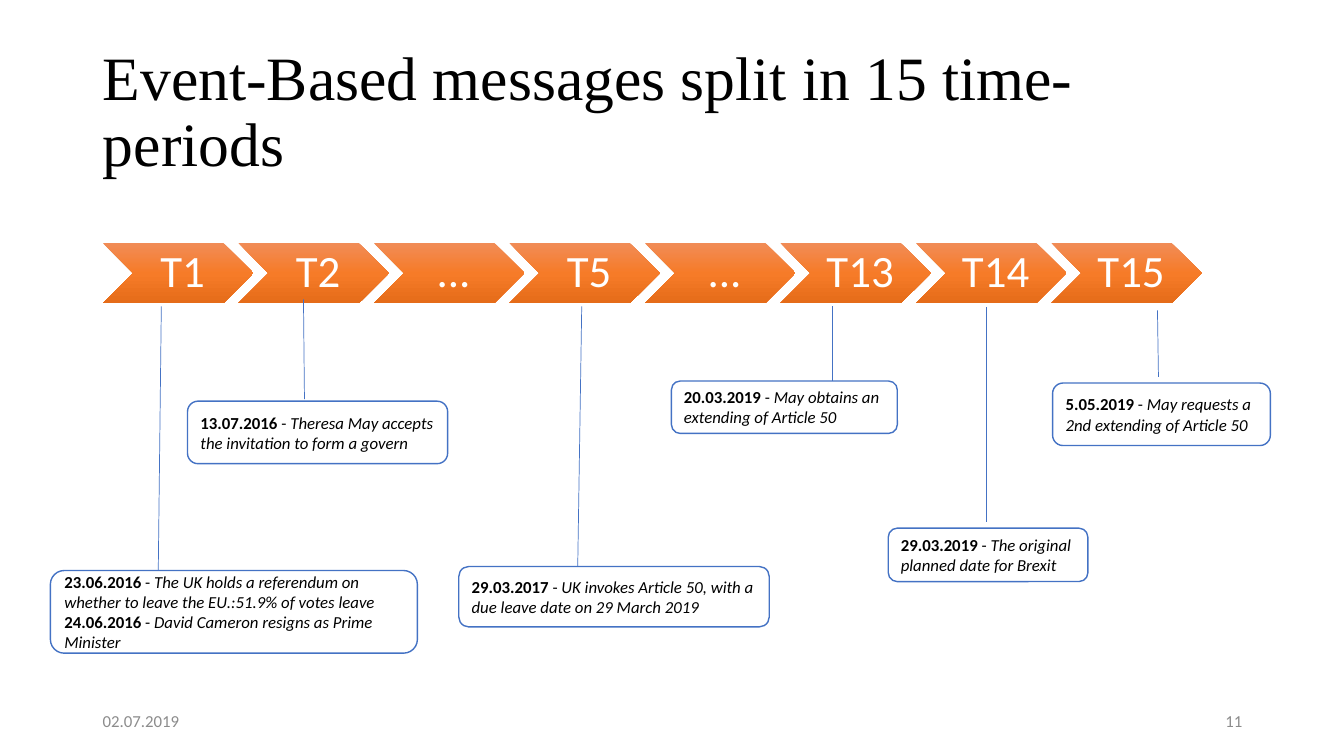
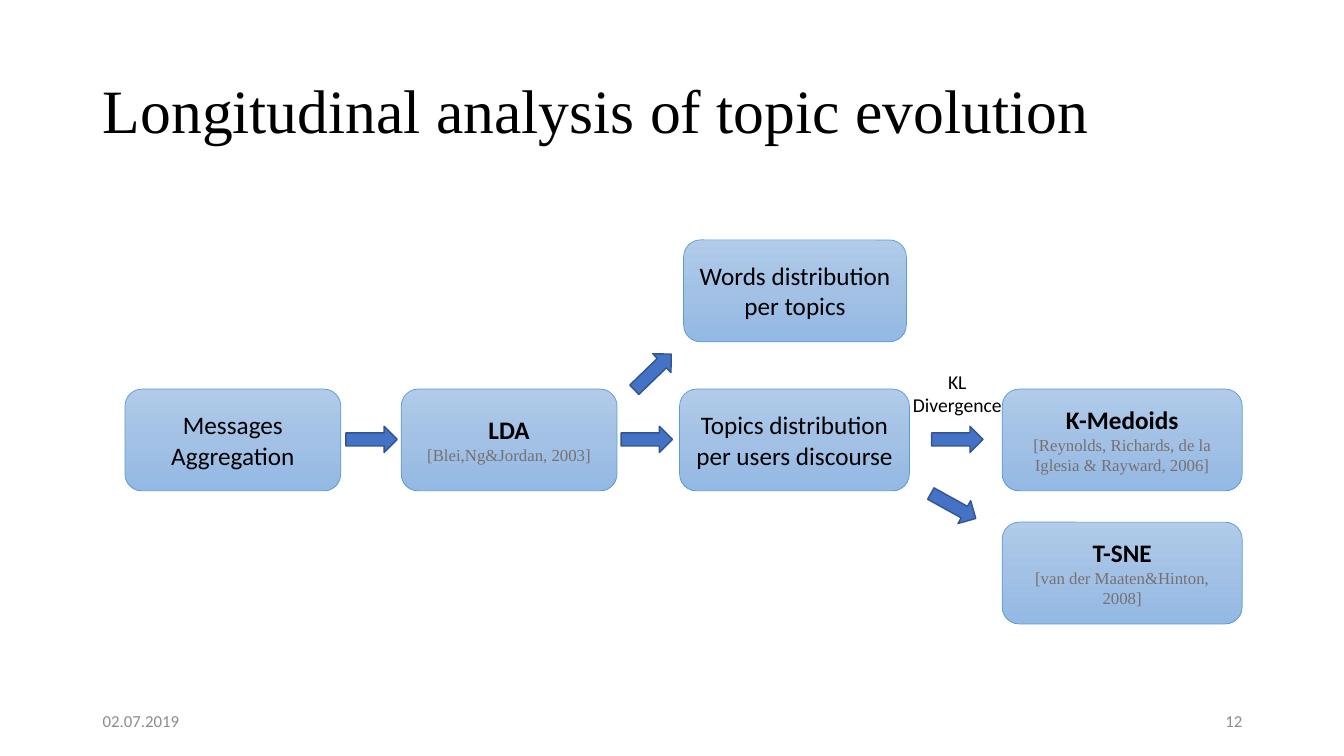
import copy

import pptx
import pptx.dml.color
import pptx.enum.shapes
import pptx.enum.text
import pptx.oxml.ns
import pptx.oxml.xmlchemy
import pptx.util
from pptx.util import Inches

SHAPE = pptx.enum.shapes.MSO_SHAPE
ALIGN = pptx.enum.text.PP_ALIGN
ANCHOR = pptx.enum.text.MSO_ANCHOR

BODY_FONT, SERIF_FONT = "Calibri", "Times New Roman"
BLACK, WHITE, FOOTER_GREY, CITATION_GREY = "000000", "FFFFFF", "8C8C8C", "767171"
BLUE, DARK_BLUE, NODE_LINE = "4472C4", "325491", "5B9BD5"
ORANGE_GRADIENT = ("F18C57", "F67B28", "E56C19")
BLUE_GRADIENT = ("B1CBE9", "A3C1E5", "93B9E4")

MARGIN, CONTENT_WIDTH = 0.92, 11.5
DATE = "02.07.2019"

PERIODS = ("T1", "T2", "...", "T5", "...", "T13", "T14", "T15")
CHEVRON_PITCH = 0.9  # share of a chevron's width

# Callout box, line start and line end, from the corner of the timeline; then entries
EVENTS = (
    ((-0.52, 3.25, 3.64, 0.82), (0.58, 0.63), (0.55, 3.25), (
        ("23.06.2016", "The UK holds a referendum on whether to leave the EU.:51.9% of votes leave"),
        ("24.06.2016", "David Cameron resigns as Prime Minister"))),
    ((0.84, 1.57, 2.58, 0.62), (1.99, 0.56), (2.0, 1.55), (
        ("13.07.2016", "Theresa May accepts the invitation to form a govern"),)),
    ((3.53, 3.21, 3.08, 0.6), (4.75, 0.63), (4.71, 3.21), (
        ("29.03.2017", "UK invokes Article 50, with a due leave date on 29 March 2019"),)),
    ((5.64, 1.37, 2.24, 0.52), (7.24, 0.63), (7.24, 1.37), (
        ("20.03.2019", "May obtains an extending of Article 50"),)),
    ((7.79, 2.83, 1.98, 0.53), (8.76, 0.64), (8.76, 2.77), (
        ("29.03.2019", "The original planned date for Brexit"),)),
    ((9.42, 1.39, 2.16, 0.62), (10.46, 0.67), (10.47, 1.33), (
        ("5.05.2019", "May requests a 2nd extending of Article 50"),)),
)

# Flow chart, from its own corner
NODE_HEIGHT = 1.01
TOP_ROW, MIDDLE_ROW, BOTTOM_ROW = 0, 1.48, 2.8
STEPS = (  # left, top, width, lines
    (0, MIDDLE_ROW, 2.14, ("Messages", "Aggregation")),
    (5.5, MIDDLE_ROW, 2.28, ("Topics distribution per users discourse",)),
    (5.54, TOP_ROW, 2.21, ("Words distribution per topics",)),
)
METHODS = (  # left, top, width, name, citation
    (2.74, MIDDLE_ROW, 2.14, "LDA", "[Blei,Ng&Jordan, 2003]"),
    (8.7, MIDDLE_ROW, 2.38, "K-Medoids", "[Reynolds, Richards, de la Iglesia & Rayward, 2006]"),
    (8.7, BOTTOM_ROW, 2.38, "T-SNE", "[van der Maaten&Hinton, 2008]"),
)
ARROWS = (  # left, top, rotation
    (2.19, 1.85, 0), (4.92, 1.85, 0), (8, 1.85, 0), (7.96, 2.51, 29), (4.98, 1.18, 316),
)


def color(value):
    return pptx.dml.color.RGBColor.from_string(value)


def style(font, size, value=BLACK, name=BODY_FONT, bold=False, italic=False):
    font.size, font.name = pptx.util.Pt(size), name
    font.color.rgb = color(value)
    font.bold, font.italic = bold, italic


def write_lines(text_frame, lines, size, value=BLACK, align=ALIGN.CENTER):
    text_frame.text = "\n".join(lines)
    for paragraph in text_frame.paragraphs:
        paragraph.alignment = align
        for run in paragraph.runs:
            style(run.font, size, value)


def add_box(slide, kind, left, top, width, height, line=None, line_width=1):
    shape = slide.shapes.add_shape(
        kind, Inches(left), Inches(top), Inches(width), Inches(height))
    shape.shadow.inherit = False
    if line:
        shape.line.color.rgb = color(line)
        shape.line.width = pptx.util.Pt(line_width)
    else:
        shape.line.fill.background()
    return shape


def fill_solid(shape, value):
    shape.fill.solid()
    shape.fill.fore_color.rgb = color(value)


def fill_gradient(shape, values):
    """Fill from top to bottom with evenly spaced colours."""
    shape.fill.gradient()
    shape.fill.gradient_angle = 270
    stop_list = shape._element.spPr.find(".//" + pptx.oxml.ns.qn("a:gsLst"))
    while len(stop_list) < len(values):
        stop_list.append(copy.deepcopy(stop_list[0]))
    for index, (stop, value) in enumerate(zip(shape.fill.gradient_stops, values)):
        stop.position = index / (len(values) - 1)
        stop.color.rgb = color(value)


def add_text(slide, left, top, width, height, lines, size, value, align, anchor):
    text_frame = slide.shapes.add_textbox(
        Inches(left), Inches(top), Inches(width), Inches(height)).text_frame
    text_frame.word_wrap = True
    text_frame.vertical_anchor = anchor
    write_lines(text_frame, lines, size, value, align)


def add_titled_slide(presentation, title_text, number):
    """Add a slide with its title, date and number."""
    slide = presentation.slides.add_slide(presentation.slide_layouts[5])
    title = slide.shapes.title
    title.left, title.top = Inches(MARGIN), Inches(0.4)
    title.width, title.height = Inches(CONTENT_WIDTH), Inches(1.45)
    text_frame = title.text_frame
    text_frame.text = title_text
    text_frame.word_wrap = True
    text_frame.auto_size = pptx.enum.text.MSO_AUTO_SIZE.NONE
    text_frame.vertical_anchor = ANCHOR.MIDDLE
    paragraph = text_frame.paragraphs[0]
    paragraph.alignment = ALIGN.LEFT
    paragraph.line_spacing = 0.9
    style(paragraph.runs[0].font, 44, name=SERIF_FONT)

    footer_width = 3
    right = MARGIN + CONTENT_WIDTH - footer_width
    for left, text, align in ((MARGIN, DATE, ALIGN.LEFT), (right, str(number), ALIGN.RIGHT)):
        add_text(slide, left, 6.95, footer_width, 0.4, [text], 12, FOOTER_GREY,
                 align, ANCHOR.MIDDLE)
    return slide


def add_chevrons(slide, left, top, width, height):
    chevron_width = width / (1 + CHEVRON_PITCH * (len(PERIODS) - 1))
    for index, period in enumerate(PERIODS):
        chevron = add_box(slide, SHAPE.CHEVRON, left + index * CHEVRON_PITCH * chevron_width,
                          top, chevron_width, height)
        fill_gradient(chevron, ORANGE_GRADIENT)
        text_frame = chevron.text_frame
        text_frame.margin_left, text_frame.margin_right = Inches(0.14), Inches(0.05)
        write_lines(text_frame, [period], 32, WHITE)
        text_frame.paragraphs[0].line_spacing = 0.9


def add_callout(slide, left, top, width, height, entries):
    callout = add_box(slide, SHAPE.ROUNDED_RECTANGLE, left, top, width, height, BLUE)
    fill_solid(callout, WHITE)
    text_frame = callout.text_frame
    for index, (date, event) in enumerate(entries):
        paragraph = text_frame.add_paragraph() if index else text_frame.paragraphs[0]
        paragraph.alignment = ALIGN.LEFT
        for text, bold, italic in ((date, True, False), (" - ", False, False),
                                   (event, False, True)):
            run = paragraph.add_run()
            run.text = text
            style(run.font, 12, bold=bold, italic=italic)


def add_line(slide, start_x, start_y, end_x, end_y):
    line = slide.shapes.add_connector(
        pptx.enum.shapes.MSO_CONNECTOR.STRAIGHT,
        Inches(start_x), Inches(start_y), Inches(end_x), Inches(end_y))
    line.line.color.rgb = color(BLUE)
    line.line.width = pptx.util.Pt(0.5)
    line._element.spPr.append(pptx.oxml.xmlchemy.OxmlElement("a:effectLst"))


def add_timeline(slide, left, top, width, chevron_height):
    add_chevrons(slide, left, top, width, chevron_height)
    for (box_x, box_y, box_width, box_height), start, end, entries in EVENTS:
        add_callout(slide, left + box_x, top + box_y, box_width, box_height, entries)
        add_line(slide, left + start[0], top + start[1], left + end[0], top + end[1])


def add_node(slide, left, top, width, lines):
    node = add_box(slide, SHAPE.ROUNDED_RECTANGLE, left, top, width, NODE_HEIGHT,
                   NODE_LINE, 0.5)
    fill_gradient(node, BLUE_GRADIENT)
    write_lines(node.text_frame, lines, 18)
    return node


def add_flow(slide, left, top):
    for x, y, width, lines in STEPS:
        add_node(slide, left + x, top + y, width, lines)
    for x, y, width, name, citation in METHODS:
        node = add_node(slide, left + x, top + y, width, (name, citation))
        name_line, citation_line = node.text_frame.paragraphs
        style(name_line.runs[0].font, 18, bold=True)
        style(citation_line.runs[0].font, 12, CITATION_GREY, SERIF_FONT)
    for x, y, rotation in ARROWS:
        arrow = add_box(slide, SHAPE.RIGHT_ARROW, left + x, top + y, 0.51, 0.26, DARK_BLUE)
        fill_solid(arrow, BLUE)
        arrow.rotation = rotation
    add_text(slide, left + 7.54, top + 1.24, 1.43, 0.57, ("KL", "Divergence"), 14, BLACK,
             ALIGN.CENTER, ANCHOR.TOP)


def main():
    presentation = pptx.Presentation()
    presentation.slide_width, presentation.slide_height = Inches(13.33), Inches(7.5)
    slide = add_titled_slide(presentation, "Event-Based messages split in 15 time-periods", 11)
    add_timeline(slide, 1.02, 2.41, 10.9, 0.6)
    slide = add_titled_slide(presentation, "Longitudinal analysis of topic evolution", 12)
    add_flow(slide, 1.24, 2.38)
    presentation.save("out.pptx")


if __name__ == "__main__":
    main()
